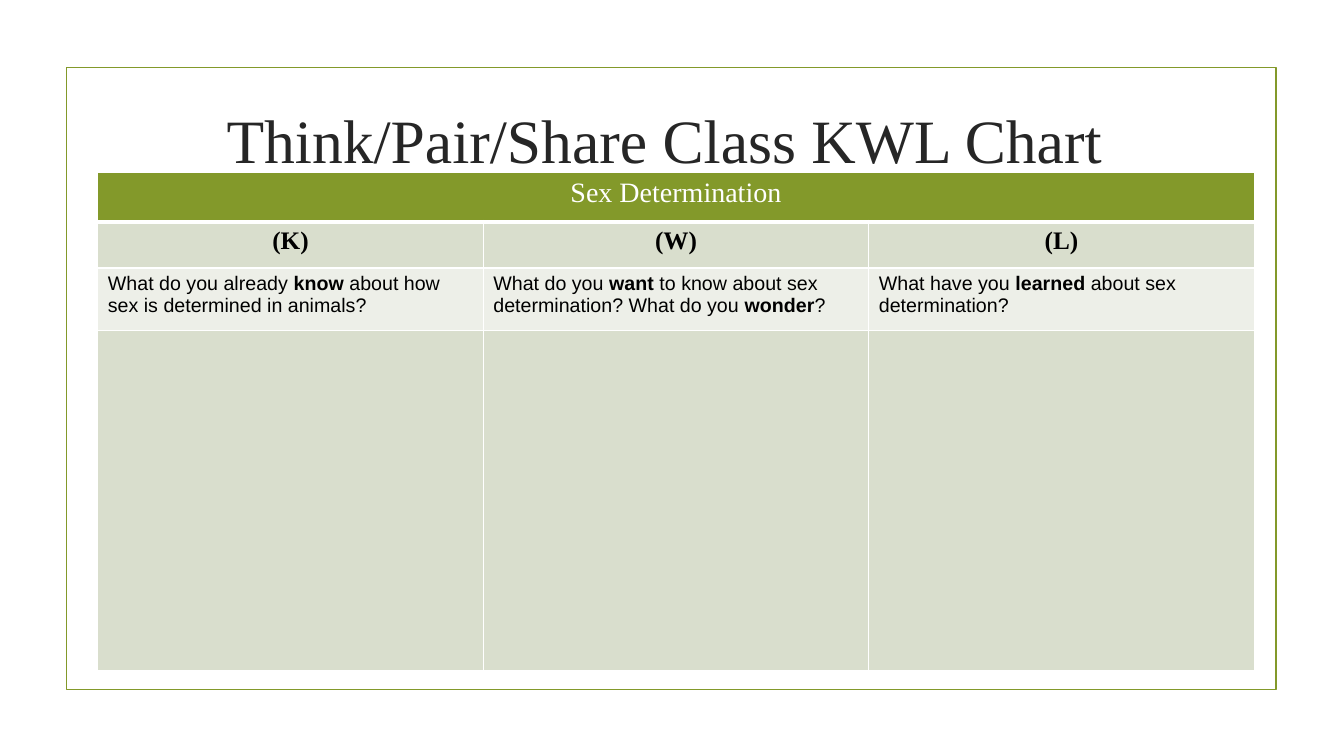
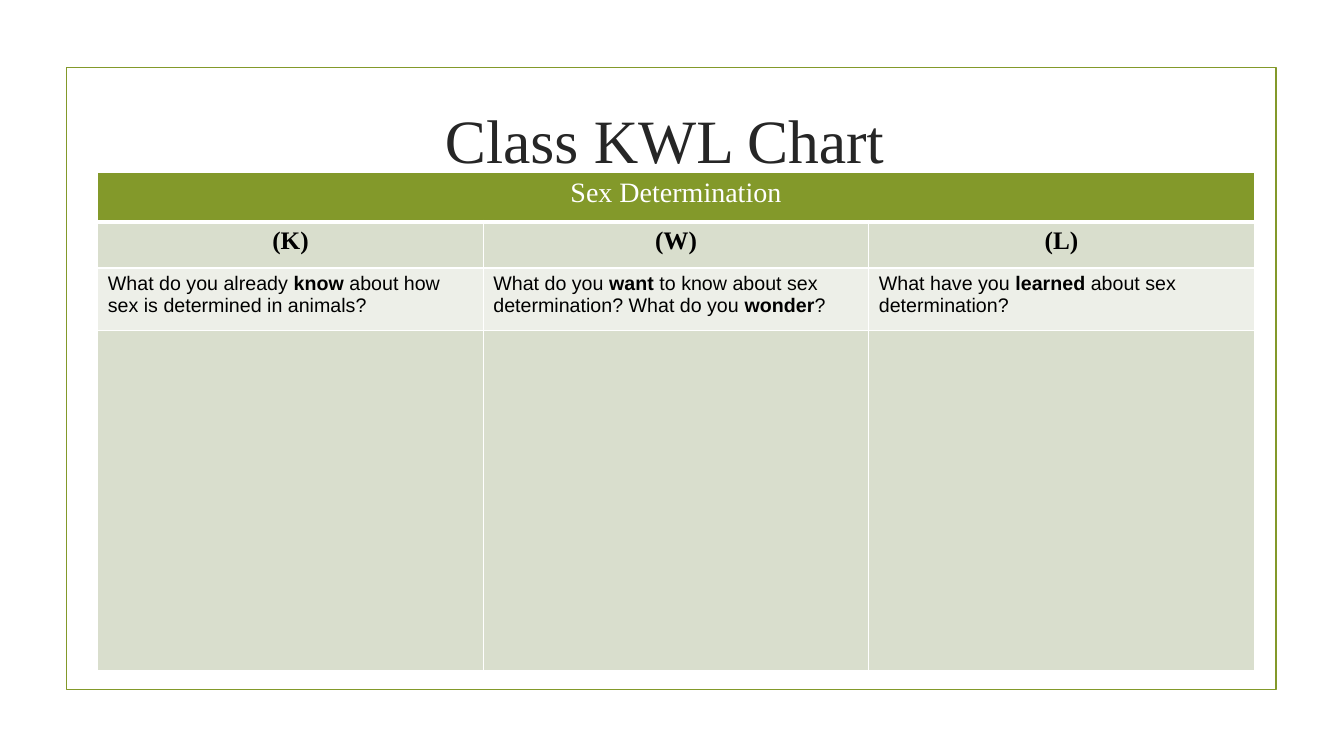
"""Build two KWL chart slides about sex determination."""
from dataclasses import dataclass

import lxml.etree
import pptx
import pptx.dml.color
import pptx.enum.shapes
import pptx.enum.text
import pptx.oxml.ns
import pptx.slide
import pptx.table
import pptx.text.text
import pptx.util

Inches = pptx.util.Inches
Pt = pptx.util.Pt
RGBColor = pptx.dml.color.RGBColor
CENTER = pptx.enum.text.PP_ALIGN.CENTER
LEFT = pptx.enum.text.PP_ALIGN.LEFT
qn = pptx.oxml.ns.qn

OLIVE = RGBColor(0x83, 0x99, 0x2A)
SAGE = RGBColor(0xD9, 0xDE, 0xCD)
PALE_SAGE = RGBColor(0xED, 0xEF, 0xE8)
WHITE = RGBColor(0xFF, 0xFF, 0xFF)
BLACK = RGBColor(0x00, 0x00, 0x00)
CHARCOAL = RGBColor(0x26, 0x26, 0x26)
SERIF = "Times New Roman"
SANS = "Arial"


@dataclass(frozen=True)
class TextStyle:
    font: str
    size: int
    color: RGBColor
    align: pptx.enum.text.PP_ALIGN = CENTER


@dataclass(frozen=True)
class Span:
    text: str
    bold: bool = False


@dataclass(frozen=True)
class KwlColumn:
    letter: str
    question: tuple[Span, ...]


TITLE_STYLE = TextStyle(SERIF, 44, CHARCOAL)
TOPIC_STYLE = TextStyle(SERIF, 20, WHITE)
LETTER_STYLE = TextStyle(SERIF, 18, BLACK)
QUESTION_STYLE = TextStyle(SANS, 14, BLACK, LEFT)

TITLES = ("Think/Pair/Share Class KWL Chart ", "Class KWL Chart ")
TOPIC = "Sex Determination"
COLUMNS = (
    KwlColumn("(K)", (
        Span("What do you already "), Span("know ", True),
        Span("about how sex is determined in animals?"))),
    KwlColumn("(W)", (
        Span("What do you "), Span("want ", True),
        Span("to know about sex determination? What do you "),
        Span("wonder", True), Span("?"))),
    KwlColumn("(L)", (
        Span("What have you "), Span("learned ", True),
        Span("about sex determination?"))),
)
ROW_HEIGHTS = (0.49, 0.46, 0.62, 3.37)
ROW_FILLS = (OLIVE, SAGE, PALE_SAGE, SAGE)
TABLE_WIDTH = 11.47


def write(frame: pptx.text.text.TextFrame, spans: tuple[Span, ...], style: TextStyle) -> None:
    """Write styled runs into the first paragraph of a frame."""
    paragraph = frame.paragraphs[0]
    paragraph.alignment = style.align
    for span in spans:
        run = paragraph.add_run()
        run.text = span.text
        run.font.name = style.font
        run.font.size = Pt(style.size)
        run.font.bold = span.bold
        run.font.color.rgb = style.color


def paint_cell(cell: pptx.table._Cell, fill: RGBColor, top: int, bottom: int) -> None:
    """Give a cell white borders and a solid fill."""
    properties = cell._tc.get_or_add_tcPr()
    for side, width in (("lnL", 1), ("lnR", 1), ("lnT", top), ("lnB", bottom)):
        border = lxml.etree.SubElement(properties, qn(f"a:{side}"), w=str(Pt(width)))
        solid = lxml.etree.SubElement(border, qn("a:solidFill"))
        lxml.etree.SubElement(solid, qn("a:srgbClr"), val=str(WHITE))
    cell.fill.solid()
    cell.fill.fore_color.rgb = fill


def add_frame(slide: pptx.slide.Slide) -> None:
    """Draw the outline around the content."""
    outline = slide.shapes.add_shape(
        pptx.enum.shapes.MSO_SHAPE.RECTANGLE,
        Inches(0.66), Inches(0.67), Inches(12), Inches(6.17))
    outline.shadow.inherit = False
    outline.fill.background()
    outline.line.color.rgb = OLIVE
    outline.line.width = Pt(1.25)


def add_title(slide: pptx.slide.Slide, title: str) -> None:
    """Add the centred slide title."""
    heading = slide.shapes.add_textbox(
        Inches(1.42), Inches(0.66), Inches(10.5), Inches(1.43)).text_frame
    heading.word_wrap = True
    heading.vertical_anchor = pptx.enum.text.MSO_ANCHOR.MIDDLE
    write(heading, (Span(title),), TITLE_STYLE)


def add_kwl_table(slide: pptx.slide.Slide) -> None:
    """Add the table with its topic, letters, questions and answer space."""
    kwl = slide.shapes.add_table(
        len(ROW_HEIGHTS), len(COLUMNS), Inches(0.97), Inches(1.71),
        Inches(TABLE_WIDTH), Inches(sum(ROW_HEIGHTS))).table
    kwl.first_row = False
    kwl.horz_banding = False
    for row_index, (height, fill) in enumerate(zip(ROW_HEIGHTS, ROW_FILLS)):
        kwl.rows[row_index].height = Inches(height)
        for cell in kwl.rows[row_index].cells:
            paint_cell(cell, fill, top=3 if row_index == 1 else 1,
                       bottom=3 if row_index == 0 else 1)
    kwl.cell(0, 0).merge(kwl.cell(0, len(COLUMNS) - 1))
    write(kwl.cell(0, 0).text_frame, (Span(TOPIC),), TOPIC_STYLE)
    for index, column in enumerate(COLUMNS):
        kwl.columns[index].width = Inches(TABLE_WIDTH / len(COLUMNS))
        write(kwl.cell(1, index).text_frame, (Span(column.letter, True),), LETTER_STYLE)
        write(kwl.cell(2, index).text_frame, column.question, QUESTION_STYLE)


def main() -> None:
    """Build and save the presentation."""
    deck = pptx.Presentation()
    deck.slide_width = Inches(13.33)
    deck.slide_height = Inches(7.5)
    for title in TITLES:
        slide = deck.slides.add_slide(deck.slide_layouts[6])
        add_frame(slide)
        add_title(slide, title)
        add_kwl_table(slide)
    deck.save("out.pptx")


if __name__ == "__main__":
    main()
